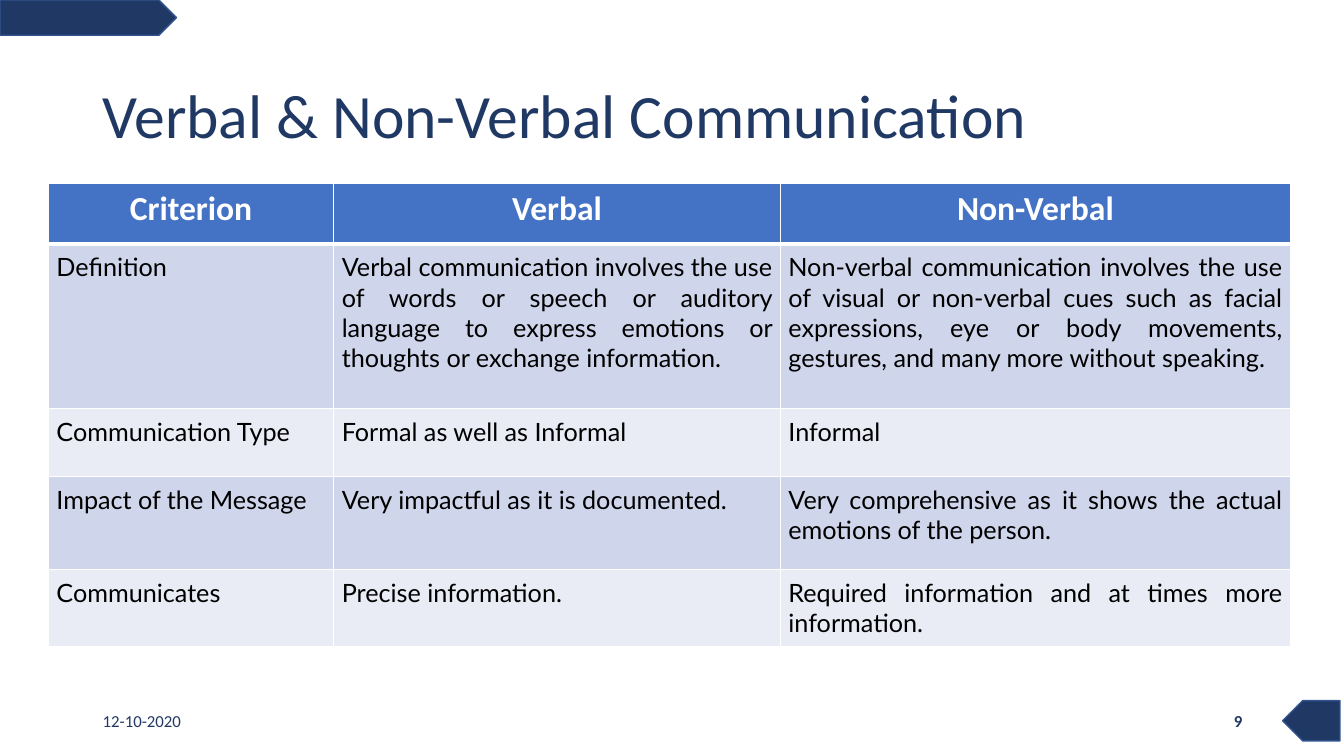
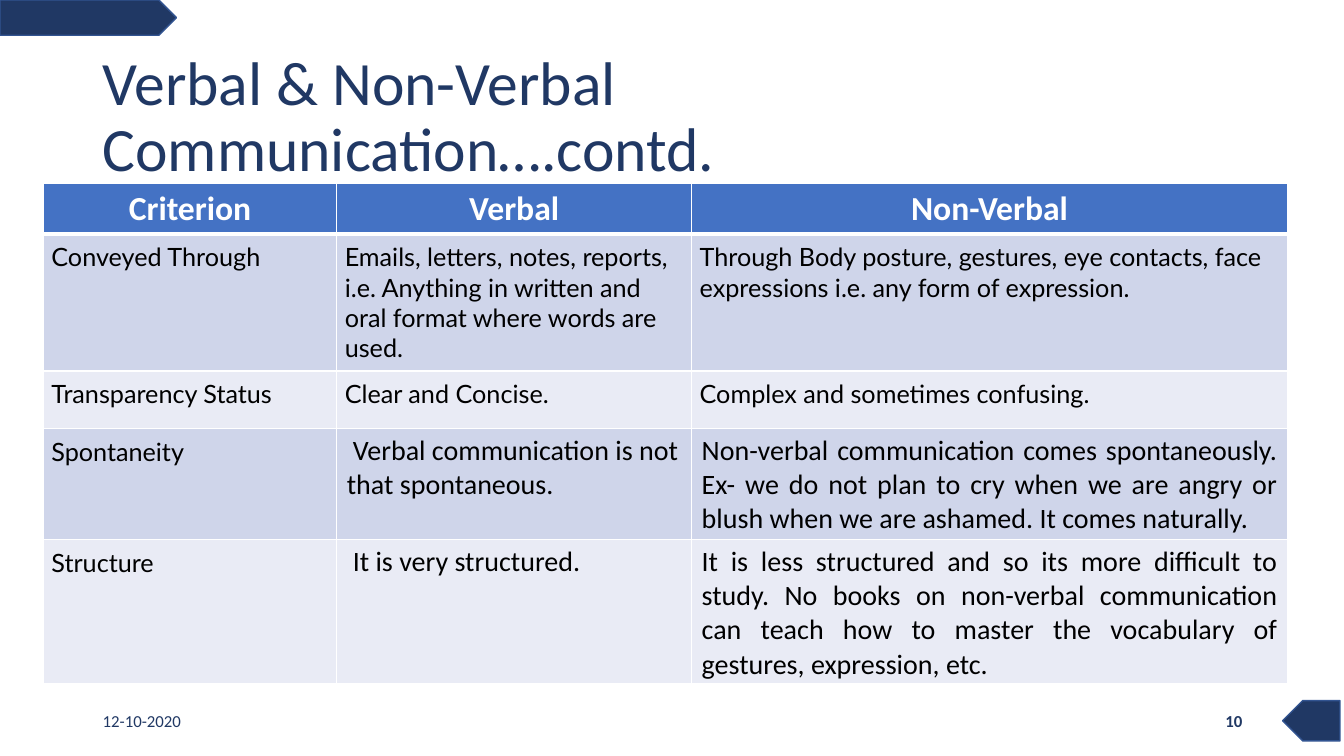
import pptx
import pptx.util
import pptx.dml.color
import pptx.enum.shapes
import pptx.enum.text
import pptx.oxml
import pptx.oxml.ns

Inches = pptx.util.Inches
Pt = pptx.util.Pt
Align = pptx.enum.text.PP_ALIGN
Anchor = pptx.enum.text.MSO_ANCHOR

COLOURS = {
    "navy": "203864",
    "edge": "325491",
    "header": "4472C4",
    "band_dark": "CFD5EA",
    "band_light": "E9EBF5",
    "white": "FFFFFF",
    "black": "000000",
}

# Cell styles: font, size, bold, colour, alignment, side margin, top margin, first-line indent
CELL_STYLES = {
    "header": ("Calibri", 24, True, "white", Align.CENTER, 0.1, 0.05, 0),
    "plain": ("Lato", 18, False, "black", Align.LEFT, 0.08, 0.08, 0),
    "justified": ("Lato", 18, False, "black", Align.JUSTIFY, 0.08, 0.08, 0),
    "indented": ("Calibri", 20, False, "black", Align.LEFT, 0.1, 0.05, 0.06),
    "large": ("Calibri", 20, False, "black", Align.JUSTIFY, 0.1, 0.05, 0),
}
HEADINGS = ("Criterion", "Verbal", "Non-Verbal")
DATE = "12-10-2020"


def colour(name):
    return pptx.dml.color.RGBColor.from_string(COLOURS[name])


class Deck:
    """Holds the shared style and the current slide."""

    def __init__(self):
        self.deck = pptx.Presentation()
        self.deck.slide_width = Inches(13.33)
        self.deck.slide_height = Inches(7.5)
        self.page = None

    def add_page(self, title, number):
        self.page = self.deck.slides.add_slide(self.deck.slide_layouts[6])
        self.arrow(0, 0, 1.75, 0.35)
        self.arrow(12.72, 6.95, 0.57, 0.4, rotation=180)
        self.text(title, 0.92, 0.45, 11.5, 1.45, 44, spacing=0.9, right=0.2)
        self.text(DATE, 0.92, 6.95, 3, 0.4, 12)
        self.text(str(number), 9.42, 6.95, 3, 0.4, 12, bold=True, align=Align.RIGHT)

    def arrow(self, left, top, width, height, rotation=0):
        shape = self.page.shapes.add_shape(
            pptx.enum.shapes.MSO_SHAPE.PENTAGON,
            Inches(left), Inches(top), Inches(width), Inches(height))
        shape.rotation = rotation
        shape.shadow.inherit = False
        shape.fill.solid()
        shape.fill.fore_color.rgb = colour("navy")
        shape.line.color.rgb = colour("edge")
        shape.line.width = Pt(1)

    def span(self, para, text, font, size, bold, ink):
        span = para.add_run()
        span.text = text
        span.font.name = font
        span.font.size = Pt(size)
        span.font.bold = bold
        span.font.color.rgb = colour(ink)

    def text(self, text, left, top, width, height, size, bold=False,
             align=Align.LEFT, spacing=1.0, right=0.1):
        box = self.page.shapes.add_textbox(
            Inches(left), Inches(top), Inches(width), Inches(height))
        frame = box.text_frame
        frame.word_wrap = True
        frame.vertical_anchor = Anchor.MIDDLE
        frame.margin_right = Inches(right)
        para = frame.paragraphs[0]
        para.alignment = align
        para.line_spacing = spacing
        self.span(para, text, "Calibri", size, bold, "navy")

    def borders(self, cell, top, bottom):
        properties = cell._tc.get_or_add_tcPr()
        for side, points in (("L", 1), ("R", 1), ("T", top), ("B", bottom)):
            properties.append(pptx.oxml.parse_xml(
                f'<a:ln{side} {pptx.oxml.ns.nsdecls("a")} w="{Pt(points)}">'
                f'<a:solidFill><a:srgbClr val="{COLOURS["white"]}"/></a:solidFill>'
                f'</a:ln{side}>'))

    def cell(self, cell, text, style, fill):
        font, size, bold, ink, align, side, top, indent = CELL_STYLES[style]
        cell.margin_left = cell.margin_right = Inches(side)
        cell.margin_top = cell.margin_bottom = Inches(top)
        cell.fill.solid()
        cell.fill.fore_color.rgb = colour(fill)
        para = cell.text_frame.paragraphs[0]
        para.alignment = align
        if indent:
            para._p.get_or_add_pPr().set("indent", str(Inches(indent)))
        self.span(para, text, font, size, bold, ink)

    def table(self, left, top, widths, heights, rows):
        """Each row is its three texts and the styles of its cells."""
        rows = [(HEADINGS, ("header",) * 3)] + rows
        table = self.page.shapes.add_table(
            len(rows), len(widths), Inches(left), Inches(top),
            Inches(sum(widths)), Inches(sum(heights))).table
        for column, width in zip(table.columns, widths):
            column.width = Inches(width)
        for index, (texts, styles) in enumerate(rows):
            table.rows[index].height = Inches(heights[index])
            band = "band_dark" if index % 2 else "band_light"
            fill = band if index else "header"
            for column, (text, style) in enumerate(zip(texts, styles)):
                cell = table.cell(index, column)
                self.borders(cell, 3 if index == 1 else 1, 1 if index else 3)
                self.cell(cell, text, style, fill)


def main():
    deck = Deck()
    plain = ("plain",) * 3
    justified = ("plain", "justified", "justified")
    large = ("plain", "indented", "large")

    # First comparison
    deck.add_page("Verbal & Non-Verbal Communication", 9)
    deck.table(0.48, 1.82, (2.83, 4.43, 5.06), (0.6, 1.63, 0.68, 0.92, 0.66), [
        (("Definition",
          "Verbal communication involves the use of words or speech or auditory "
          "language to express emotions or thoughts or exchange information.",
          "Non-verbal communication involves the use of visual or non-verbal cues "
          "such as facial expressions, eye or body movements, gestures, and many "
          "more without speaking."), justified),
        (("Communication Type", "Formal as well as Informal", "Informal"), justified),
        (("Impact of the Message",
          "Very impactful as it is documented.",
          "Very comprehensive as it shows the actual emotions of the person."),
         justified),
        (("Communicates",
          "Precise information.",
          "Required information and at times more information."), justified),
    ])

    # Comparison continued
    deck.add_page("Verbal & Non-Verbal Communication….contd.", 10)
    deck.table(0.43, 1.82, (2.91, 3.52, 5.91), (0.38, 1.3, 0.57, 0.55, 0.55), [
        (("Conveyed Through",
          "Emails, letters, notes, reports, i.e. Anything in written and oral "
          "format where words are used.",
          "Through Body posture, gestures, eye contacts, face expressions i.e. "
          "any form of expression."), plain),
        (("Transparency Status",
          "Clear and Concise.",
          "Complex and sometimes confusing."), plain),
        (("Spontaneity",
          "Verbal communication is not that spontaneous.",
          "Non-verbal communication comes spontaneously. Ex- we do not plan to cry "
          "when we are angry or blush when we are ashamed. It comes naturally."),
         large),
        (("Structure",
          "It is very structured.",
          "It is less structured and so its more difficult to study. No books on "
          "non-verbal communication can teach how to master the vocabulary of "
          "gestures, expression, etc."), large),
    ])

    deck.deck.save("out.pptx")


if __name__ == "__main__":
    main()
